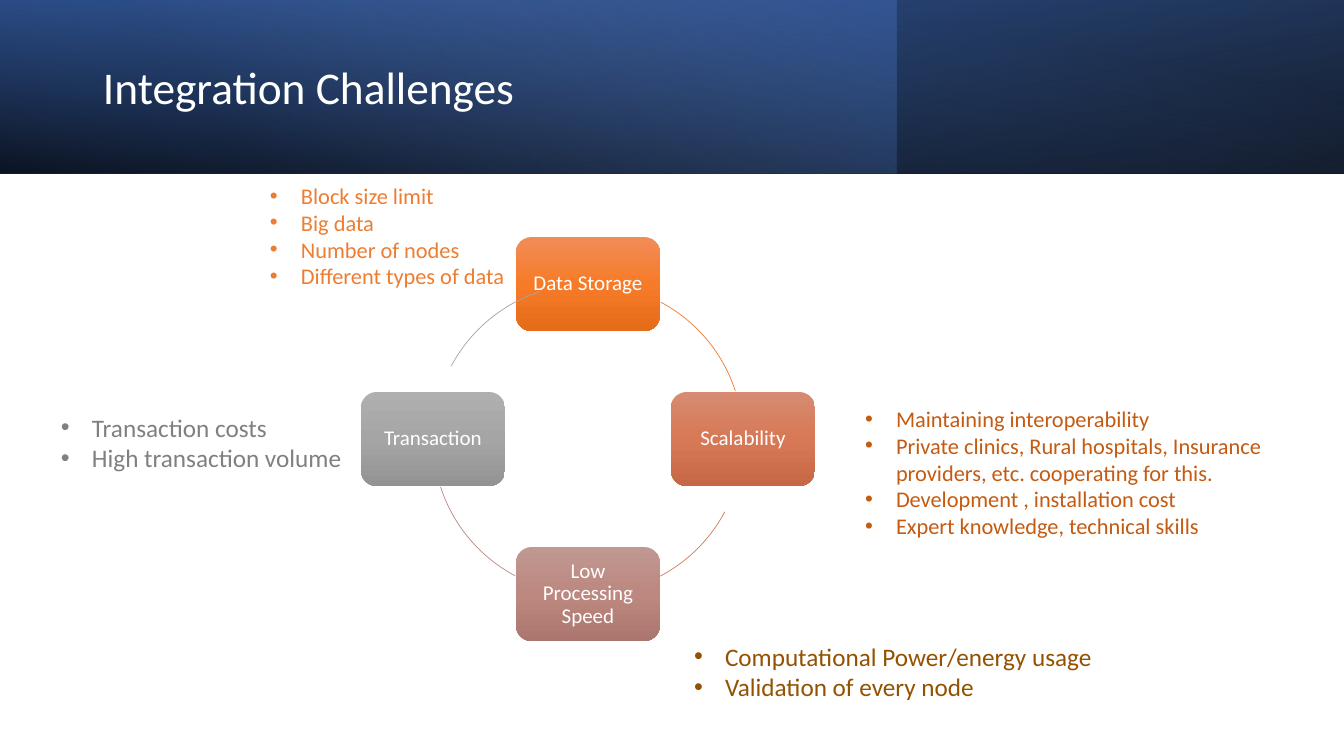
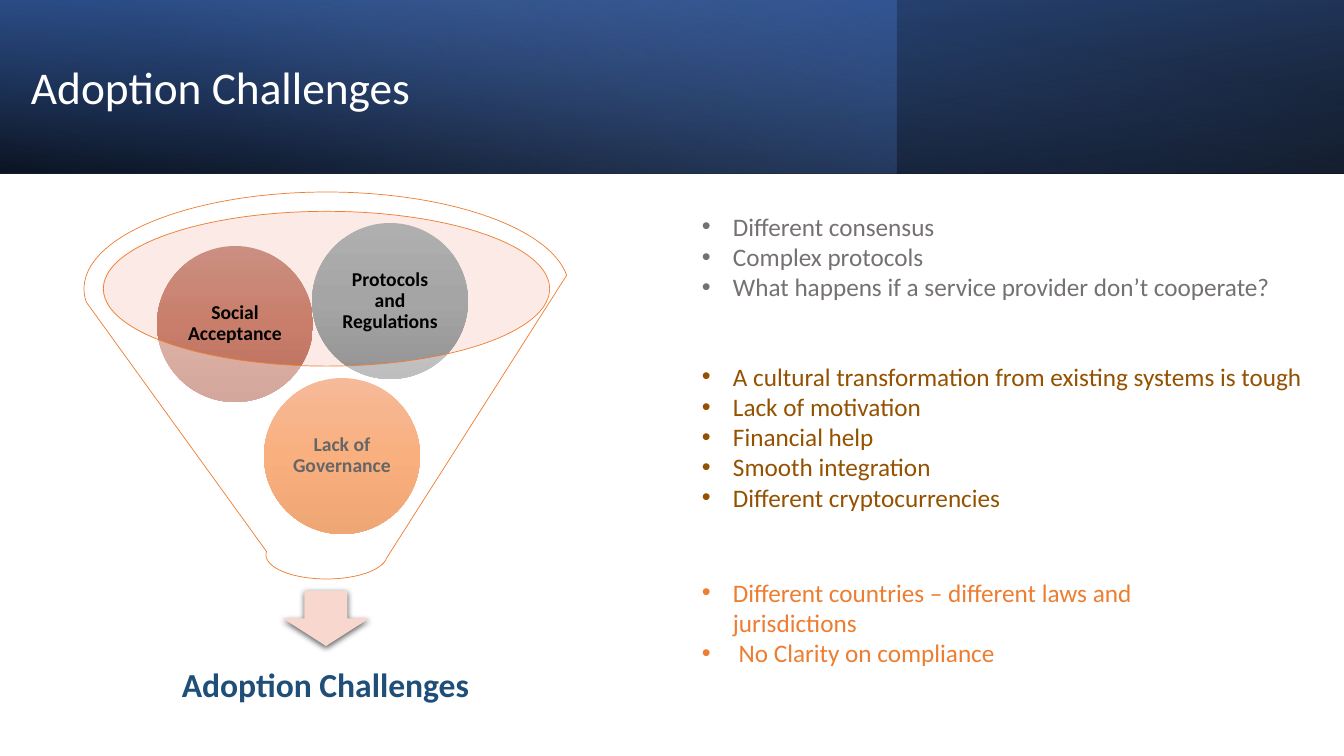
from lxml import etree
from pptx import Presentation
from pptx.dml.color import RGBColor
from pptx.enum.shapes import MSO_SHAPE
from pptx.enum.text import MSO_ANCHOR, MSO_AUTO_SIZE, PP_ALIGN
from pptx.oxml.ns import qn
from pptx.util import Pt

PX = 9071
LEFT, CENTER = PP_ALIGN.LEFT, PP_ALIGN.CENTER
TOP, MIDDLE = MSO_ANCHOR.TOP, MSO_ANCHOR.MIDDLE
RECT, ROUND, OVAL = MSO_SHAPE.RECTANGLE, MSO_SHAPE.ROUNDED_RECTANGLE, MSO_SHAPE.OVAL
ARC, FUNNEL, ARROW = MSO_SHAPE.ARC, MSO_SHAPE.FUNNEL, MSO_SHAPE.DOWN_ARROW
FONT = "Calibri"
COLORS = {
    "black": "000000", "white": "FFFFFF", "navy": "2F5597", "blue": "4472C4",
    "sky": "8FAADC", "ink": "1F4E79", "orange": "ED7D31", "rust": "C55A11",
    "brown": "945200", "gray": "808080", "stone": "767171", "silver": "A5A5A5",
    "coral": "D17B5C", "rose": "B98A82", "blush": "F6CCBE", "peach": "F8D7CE",
    "orange hi": "F18C57", "orange mid": "F67B28", "orange lo": "E56C19",
    "coral hi": "D78B72", "coral mid": "D77956", "coral lo": "C66846",
    "rose hi": "C19791", "rose mid": "BC8880", "rose lo": "AA766E",
    "silver hi": "AFAFAF", "silver mid": "A5A5A5", "silver lo": "939393",
    "clay hi": "CB8F81", "clay mid": "C97E6B", "clay lo": "B76D5B",
}


def write(shape, lines, size=18, color="black", bold=False, align=LEFT,
          anchor=TOP, inset=(10, 5), spacing=1.0, bullet=False):
    frame = shape.text_frame
    frame.word_wrap = True
    frame.auto_size = MSO_AUTO_SIZE.NONE
    frame.vertical_anchor = anchor
    frame.margin_left = frame.margin_right = inset[0] * PX
    frame.margin_top = frame.margin_bottom = inset[1] * PX
    for i, line in enumerate(lines):
        para = frame.add_paragraph() if i else frame.paragraphs[0]
        para.alignment, para.line_spacing = align, spacing
        para.space_before = para.space_after = Pt(0)
        run = para.add_run()
        run.text = line
        run.font.name, run.font.size, run.font.bold = FONT, Pt(size), bold
        run.font.color.rgb = RGBColor.from_string(COLORS[color])
        if bullet:
            props = para._p.get_or_add_pPr()
            props.set("marL", str(31 * PX))
            props.set("indent", str(-31 * PX))
            etree.SubElement(props, qn("a:buFont"), typeface="Arial")
            etree.SubElement(props, qn("a:buChar"), char="•")


def draw(slide, kind, box, stops=(), angle=90, line=None):
    """Add a shape; stops are (position, color, opacity) in percent."""
    shape = slide.shapes.add_shape(kind, *[v * PX for v in box])
    shape.shadow.inherit = False
    shape.fill.background()
    if line:
        shape.line.color.rgb = RGBColor.from_string(COLORS[line])
        shape.line.width = Pt(0.5)
    else:
        shape.line.fill.background()
    if stops:
        many = len(stops) > 1
        fill = etree.Element(qn("a:gradFill" if many else "a:solidFill"))
        if many:
            fill.set("rotWithShape", "1")
            group = etree.SubElement(fill, qn("a:gsLst"))
            etree.SubElement(fill, qn("a:lin"), ang=str(angle * 60000), scaled="0")
        for pos, color, alpha in stops:
            node = etree.SubElement(group, qn("a:gs"), pos=str(pos * 1000)) if many else fill
            tone = etree.SubElement(node, qn("a:srgbClr"), val=COLORS[color])
            etree.SubElement(tone, qn("a:alpha"), val=str(alpha * 1000))
        props = shape.element.spPr
        props.replace(props.find(qn("a:noFill")), fill)
    return shape


deck = Presentation()
deck.slide_width, deck.slide_height = 1344 * PX, 756 * PX
layout = deck.slide_layouts.get_by_name("Comparison")

PAGES = [
    ("Integration Challenges", 93, [
        ((260, 177, 258, 119), 16, "orange",
         ["Block size limit", "Big data", "Number of nodes", "Different types of data"]),
        ((51, 407, 310, 71), 18, "gray",
         ["Transaction costs", "High transaction volume"]),
        ((684, 636, 440, 71), 18, "brown",
         ["Computational Power/energy usage", "Validation of every node"]),
        ((855, 400, 423, 173), 16, "rust",
         ["Maintaining interoperability",
          "Private clinics, Rural hospitals, Insurance providers, etc. cooperating for this.",
          "Development , installation cost", "Expert knowledge, technical skills"]),
    ]),
    ("Adoption Challenges", 21, [
        ((692, 206, 624, 110), 18, "stone",
         ["Different consensus", "Complex protocols",
          "What happens if a service provider don’t cooperate?"]),
        ((692, 356, 624, 170), 18, "brown",
         ["A cultural transformation from existing systems is tough", "Lack of motivation",
          "Financial help", "Smooth integration", "Different cryptocurrencies"]),
        ((692, 572, 481, 110), 18, "orange",
         ["Different countries – different laws and jurisdictions",
          " No Clarity on compliance"]),
    ]),
]
slides = []
for title, left, lists in PAGES:
    slide = deck.slides.add_slide(layout)
    slides.append(slide)
    head, *bodies = slide.placeholders
    head.left, head.top, head.width, head.height = [v * PX for v in (left, 56, 580, 68)]
    write(head, [title], size=32.4, color="white", anchor=MIDDLE, spacing=0.9)
    for body, (box, size, color, lines) in zip(bodies, lists):
        body.left, body.top, body.width, body.height = [v * PX for v in box]
        write(body, lines, size=size, color=color, bullet=True)
    for spare in bodies[len(lists):]:
        spare.element.getparent().remove(spare.element)
cycle, funnel = slides

# Header bands, shared through the layout
BANDS = [
    (1344, [(0, "black", 96), (100, "navy", 100)], 100, 180, True),
    (896, [(0, "blue", 41), (74, "sky", 0)], 140, 0, False),
    (1344, [(0, "black", 63), (78, "blue", 15)], 260, 0, True),
]
for i, (width, stops, angle, turn, flip) in enumerate(BANDS):
    band = draw(cycle, RECT, (0, 0, width, 174), stops, angle)
    band.rotation = turn
    if flip:
        band.element.spPr.find(qn("a:xfrm")).set("flipH", "1")
    band.element.nvSpPr.cNvPr.set("id", str(20 + i))
    layout.shapes._spTree.insert(2 + i, band.element)

# Cycle: four cards clockwise from the top, each followed by an arc
MIDX, MIDY, RADIUS = 588, 439, 155
CARDS = [
    ("Data Storage", "orange", 0, -1),
    ("Scalability", "coral", 1, 0),
    ("Low Processing Speed", "rose", 0, 1),
    ("Transaction", "silver", -1, 0),
]
for i, (label, tone, dx, dy) in enumerate(CARDS):
    stops = [(0, tone + " hi", 100), (50, tone + " mid", 100), (100, tone + " lo", 100)]
    box = (MIDX + dx * RADIUS - 72, MIDY + dy * RADIUS - 47, 144, 94)
    card = draw(cycle, ROUND, box, stops)
    write(card, [label], size=15, color="white", align=CENTER, anchor=MIDDLE,
          inset=(6, 6), spacing=0.9)
    ring = (MIDX - RADIUS, MIDY - RADIUS, 2 * RADIUS, 2 * RADIUS)
    arc = draw(cycle, ARC, ring, line=tone)
    for j, start in enumerate((298, 342)):
        arc.adjustments[j] = (start + 90 * i) % 360 * 0.6

# Funnel: balls fall through to the result
draw(funnel, OVAL, (102, 211, 447, 155), [(0, "blush", 40)])
arrow = draw(funnel, ARROW, (283, 591, 86, 55), [(0, "peach", 100)])
glow = etree.SubElement(arrow.element.spPr.find(qn("a:effectLst")), qn("a:outerShdw"),
                        blurRad=str(Pt(4.5)), dist=str(Pt(1.5)), dir="5400000",
                        rotWithShape="0")
shade = etree.SubElement(glow, qn("a:srgbClr"), val=COLORS["black"])
etree.SubElement(shade, qn("a:alpha"), val="63000")
result = funnel.shapes.add_textbox(*[v * PX for v in (118, 635, 415, 104)])
write(result, ["Adoption Challenges"], size=24, color="ink", bold=True, align=CENTER,
      anchor=MIDDLE, inset=(19, 19), spacing=0.9)
BALLS = [
    ("Lack of Governance", "orange", 264, 378),
    ("Social Acceptance", "clay", 157, 246),
    ("Protocols and Regulations", "silver", 312, 223),
]
for label, tone, left, top in BALLS:
    stops = [(0, tone + " hi", 100), (50, tone + " mid", 100), (100, tone + " lo", 100)]
    ball = draw(funnel, OVAL, (left, top, 156, 156), stops)
    write(ball, [label], size=14, bold=True, align=CENTER, anchor=MIDDLE,
          inset=(2, 2), spacing=0.9)
draw(funnel, FUNNEL, (84, 192, 485, 387), [(0, "white", 40)], line="orange")

deck.save("out.pptx")
